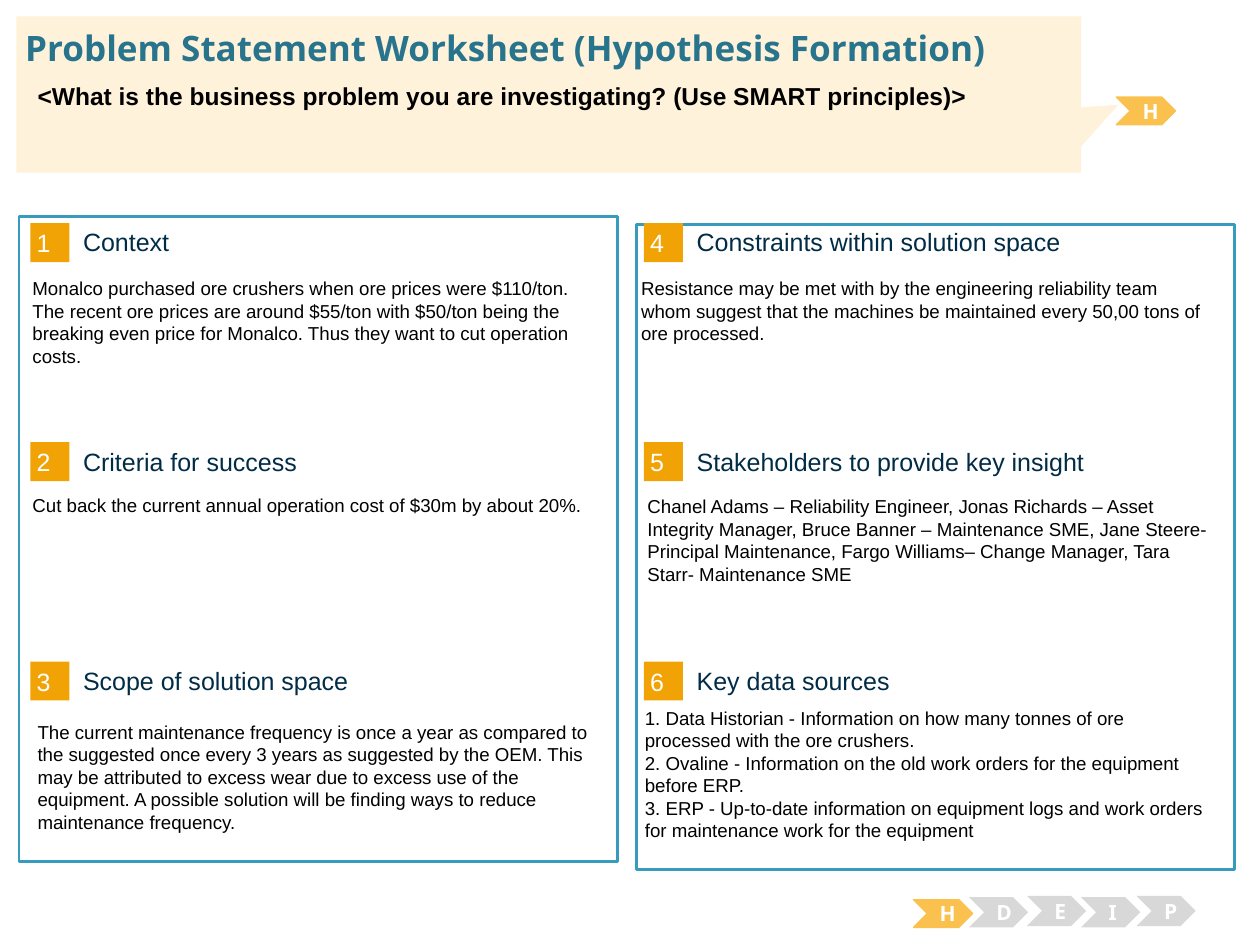
from lxml import etree
from pptx import Presentation
from pptx.dml.color import RGBColor
from pptx.enum.shapes import MSO_SHAPE
from pptx.enum.text import MSO_ANCHOR, MSO_AUTO_SIZE, PP_ALIGN
from pptx.util import Inches, Pt

RECTANGLE, CHEVRON = MSO_SHAPE.RECTANGLE, MSO_SHAPE.CHEVRON
CALLOUT = MSO_SHAPE.RECTANGULAR_CALLOUT
TOP, MIDDLE = MSO_ANCHOR.TOP, MSO_ANCHOR.MIDDLE
LEFT, CENTER = PP_ALIGN.LEFT, PP_ALIGN.CENTER
NO_AUTOFIT = MSO_AUTO_SIZE.NONE

COLORS = {
    "white": "FFFFFF", "black": "000000", "border": "379BBD", "badge": "F1A205",
    "heading": "002C46", "active": "FBC14E", "inactive": "D8D8D8",
    "callout": "FEF2DA", "title": "29748D",
}
BODY_FONT, DISPLAY_FONT = "Arial", "Noto Sans"

TITLE = "Problem Statement Worksheet (Hypothesis Formation)"
QUESTION = "<What is the business problem you are investigating? (Use SMART principles)>"
SECTIONS = [
    ("Context", (0.16, 2.15, 1.36), [
        "Monalco purchased ore crushers when ore prices were $110/ton. The recent ore "
        "prices are around $55/ton with $50/ton being the breaking even price for "
        "Monalco. Thus they want to cut operation costs."]),
    ("Criteria for success", (0.16, 3.87, 1.54), [
        "Cut back the current annual operation cost of $30m by about 20%."]),
    ("Scope of solution space", (0.2, 5.67, 0.82), [
        "The current maintenance frequency is once a year as compared to the suggested "
        "once every 3 years as suggested by the OEM. This may be attributed to excess "
        "wear due to excess use of the equipment. A possible solution will be finding "
        "ways to reduce maintenance frequency."]),
    ("Constraints within solution space", (4.99, 2.15, 1.18), [
        "Resistance may be met with by the engineering reliability team whom suggest "
        "that the machines be maintained every 50,00 tons of ore processed."]),
    ("Stakeholders to provide key insight", (5.04, 3.88, 1.18), [
        "Chanel Adams – Reliability Engineer, Jonas Richards – Asset Integrity Manager, "
        "Bruce Banner – Maintenance SME, Jane Steere-Principal Maintenance, Fargo "
        "Williams– Change Manager, Tara Starr- Maintenance SME"]),
    ("Key data sources", (5.02, 5.56, 1.18), [
        "1. Data Historian - Information on how many tonnes of ore processed with the "
        "ore crushers.",
        "2. Ovaline - Information on the old work orders for the equipment before ERP.",
        "3. ERP - Up-to-date information on equipment logs and work orders for "
        "maintenance work for the equipment"]),
]
PANELS = [(0.15, 1.72), (5.05, 1.78)]
STAGES = [
    ("H", 7.25, 7.14, True), ("D", 7.69, 7.12, False), ("E", 8.15, 7.11, False),
    ("I", 8.58, 7.12, False), ("P", 9.02, 7.11, False), ("H", 8.86, 0.77, True),
]
ROWS = 3
BADGE_LEFTS = [0.24, 5.11]
FIRST_ROW, ROW_PITCH = 1.77, 1.74


def color(name):
    return RGBColor.from_string(COLORS[name])


def write(shape, paragraphs, size, ink, font=BODY_FONT, bold=False,
          align=LEFT, anchor=TOP, inset=None):
    frame = shape.text_frame
    frame.text = "\n".join(paragraphs)
    frame.word_wrap = True
    frame.auto_size = NO_AUTOFIT
    frame.vertical_anchor = anchor
    if inset is not None:
        frame.margin_left = frame.margin_right = Inches(inset)
        frame.margin_top = frame.margin_bottom = Inches(inset)
    for paragraph in frame.paragraphs:
        paragraph.alignment = align
        for run in paragraph.runs:
            run.font.name, run.font.size, run.font.bold = font, Pt(size), bold
            run.font.color.rgb = color(ink)


def add_block(kind, box, fill, line=None, line_width=1.5):
    shape = slide.shapes.add_shape(kind, *map(Inches, box))
    shape.shadow.inherit = False
    shape.fill.solid()
    shape.fill.fore_color.rgb = color(fill)
    if line:
        shape.line.color.rgb = color(line)
        shape.line.width = Pt(line_width)
    else:
        shape.line.fill.background()
    return shape


def add_text(box, paragraphs, size, ink, **style):
    write(slide.shapes.add_textbox(*map(Inches, box)), paragraphs, size, ink, **style)


presentation = Presentation()
presentation.slide_width, presentation.slide_height = Inches(10), Inches(7.5)
slide = presentation.slides.add_slide(presentation.slide_layouts[5])

for left, top in PANELS:
    add_block(RECTANGLE, (left, top, 4.75, 5.12), "white", "border")

for index, (heading, (left, top, height), paragraphs) in enumerate(SECTIONS):
    column, row = divmod(index, ROWS)
    badge_left, badge_top = BADGE_LEFTS[column], FIRST_ROW + row * ROW_PITCH
    badge = add_block(RECTANGLE, (badge_left, badge_top, 0.31, 0.31), "badge")
    write(badge, [str(index + 1)], 14.3, "white", anchor=MIDDLE, inset=0.05)
    add_text((badge_left + 0.42, badge_top + 0.03, 3.93, 0.24), [heading],
             14.3, "heading", anchor=MIDDLE, inset=0)
    add_text((left, top, 4.73, height), paragraphs, 10.7, "black")

for letter, left, top, active in STAGES:
    fill = "active" if active else "inactive"
    height = 0.22 if active else 0.24
    stage = add_block(CHEVRON, (left, top, 0.47, height), fill,
                      fill if active else None, 0.74)
    write(stage, [letter], 12, "white", font=DISPLAY_FONT, bold=True,
          align=CENTER, anchor=MIDDLE)

callout = add_block(CALLOUT, (0.13, 0.13, 8.45, 1.24), "callout")
callout.adjustments[0], callout.adjustments[1] = 0.535, 0.066

title = slide.shapes.title
title.left, title.top, title.width, title.height = map(Inches, (0.2, 0.21, 9.62, 0.34))
write(title, [TITLE], 20, "title", font=DISPLAY_FONT, bold=True, inset=0)
callout._element.addnext(title._element)

add_text((0.2, 0.59, 9.39, 0.54), [QUESTION], 14, "black", bold=True)

presentation.save("out.pptx")
